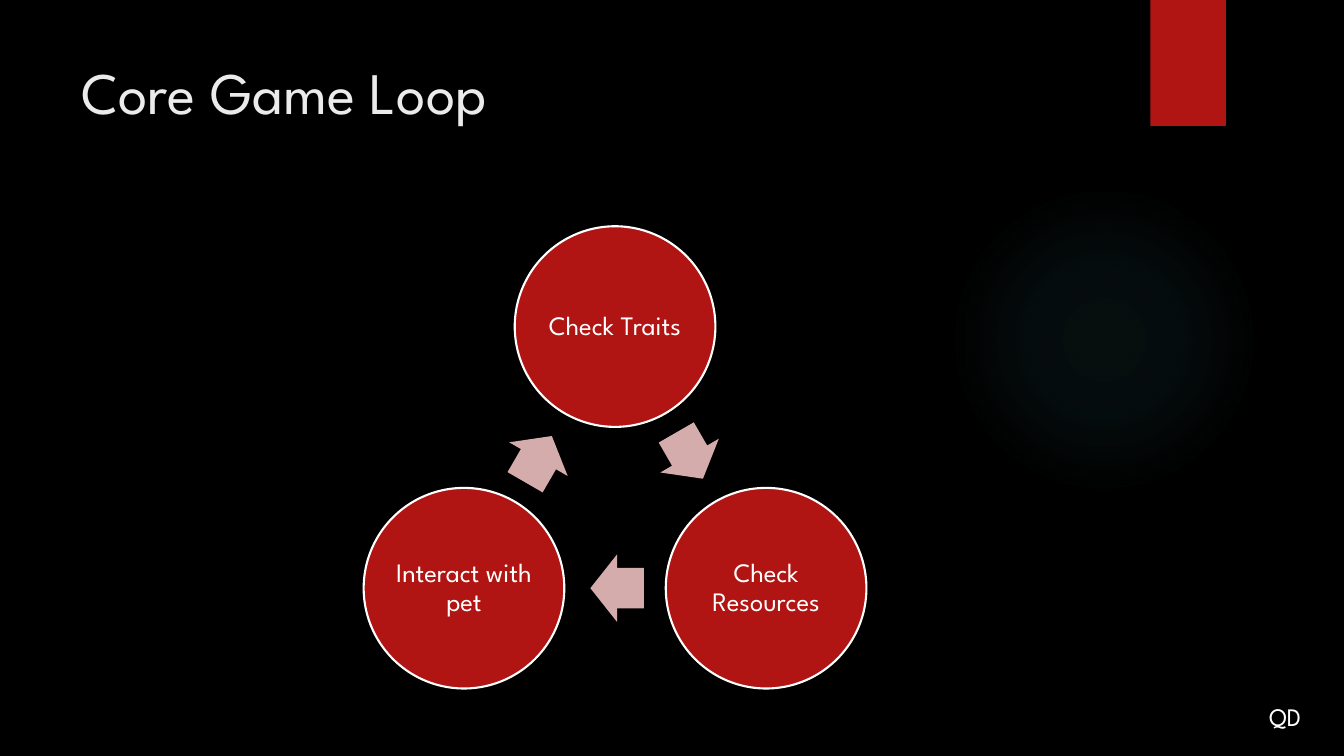
from dataclasses import dataclass
from math import cos, radians, sin

from pptx import Presentation
from pptx.dml.color import RGBColor
from pptx.enum.shapes import MSO_SHAPE
from pptx.enum.text import MSO_ANCHOR, PP_ALIGN
from pptx.oxml import parse_xml
from pptx.oxml.ns import nsdecls, qn
from pptx.util import Inches, Pt


@dataclass(frozen=True)
class Theme:
    font: str = "League Spartan"
    background: str = "000000"
    accent: str = "B01513"
    arrow: str = "D4ACAB"
    glow: str = "50B9C1"
    title: str = "EBEBEB"
    text: str = "FFFFFF"
    title_size: int = 42
    node_size: int = 19
    initials_size: int = 18


THEME = Theme()
STEPS = ["Check Traits", "Check Resources", "Interact with pet"]
GLOW_STOPS = [(0, 7), (36, 6), (69, 0)]  # position and opacity, in percent

LOOP_CENTER = (6.1, 4.97)
LOOP_RADIUS = 1.73
NODE_SIZE = 1.99
NODE_INSET = 0.03
ARROW_LENGTH, ARROW_BREADTH = 0.53, 0.67
ARROW_SETBACK = 0.02


def format_text(text_frame, text, size, color):
    text_frame.text = text
    text_frame.word_wrap = True
    font = text_frame.paragraphs[0].runs[0].font
    font.name = THEME.font
    font.size = Pt(size)
    font.color.rgb = RGBColor.from_string(color)


def add_text(slide, box, text, size, color):
    textbox = slide.shapes.add_textbox(*map(Inches, box))
    format_text(textbox.text_frame, text, size, color)


def add_filled_shape(slide, preset, box, color):
    shape = slide.shapes.add_shape(preset, *map(Inches, box))
    shape.shadow.inherit = False
    shape.fill.solid()
    shape.fill.fore_color.rgb = RGBColor.from_string(color)
    shape.line.fill.background()
    return shape


def add_glow(slide, box):
    """Add a circle whose faint colour fades out towards its edge."""
    glow = add_filled_shape(slide, MSO_SHAPE.OVAL, box, THEME.glow)
    stops = "".join(
        f'<a:gs pos="{position * 1000}"><a:srgbClr val="{THEME.glow}">'
        f'<a:alpha val="{opacity * 1000}"/></a:srgbClr></a:gs>'
        for position, opacity in GLOW_STOPS
    )
    gradient = parse_xml(
        f'<a:gradFill {nsdecls("a")}><a:gsLst>{stops}</a:gsLst><a:path path="circle">'
        '<a:fillToRect l="50000" t="50000" r="50000" b="50000"/></a:path></a:gradFill>'
    )
    properties = glow._element.spPr
    properties.replace(properties.find(qn("a:solidFill")), gradient)


def centered_box(center, width, height):
    return center[0] - width / 2, center[1] - height / 2, width, height


def add_node(slide, center, label):
    box = centered_box(center, NODE_SIZE, NODE_SIZE)
    node = add_filled_shape(slide, MSO_SHAPE.OVAL, box, THEME.accent)
    node.line.color.rgb = RGBColor.from_string(THEME.text)
    node.line.width = Pt(1.5)
    frame = node.text_frame
    format_text(frame, label, THEME.node_size, THEME.text)
    frame.vertical_anchor = MSO_ANCHOR.MIDDLE
    frame.margin_left = frame.margin_right = Inches(NODE_INSET)
    frame.margin_top = frame.margin_bottom = Inches(NODE_INSET)
    frame.paragraphs[0].alignment = PP_ALIGN.CENTER
    frame.paragraphs[0].line_spacing = 0.9


def add_arrow(slide, start, end, angle):
    """Add a block arrow just short of halfway between two nodes."""
    center = (
        (start[0] + end[0]) / 2 - ARROW_SETBACK * cos(radians(angle)),
        (start[1] + end[1]) / 2 - ARROW_SETBACK * sin(radians(angle)),
    )
    box = centered_box(center, ARROW_LENGTH, ARROW_BREADTH)
    arrow = add_filled_shape(slide, MSO_SHAPE.RIGHT_ARROW, box, THEME.arrow)
    arrow.adjustments[0] = 0.6
    arrow.adjustments[1] = 0.5
    arrow.rotation = angle


def add_loop(slide, labels):
    """Place the nodes clockwise from the top, each with an arrow to the next."""
    step = 360 / len(labels)
    angles = [radians(index * step - 90) for index in range(len(labels))]
    centers = [
        (LOOP_CENTER[0] + LOOP_RADIUS * cos(angle), LOOP_CENTER[1] + LOOP_RADIUS * sin(angle))
        for angle in angles
    ]
    for index, label in enumerate(labels):
        add_node(slide, centers[index], label)
        following = centers[(index + 1) % len(labels)]
        add_arrow(slide, centers[index], following, step * (index + 0.5))


def main():
    presentation = Presentation()
    presentation.slide_width = Inches(13.33)
    presentation.slide_height = Inches(7.5)
    slide = presentation.slides.add_slide(presentation.slide_layouts[6])
    slide.background.fill.solid()
    slide.background.fill.fore_color.rgb = RGBColor.from_string(THEME.background)

    add_glow(slide, (9.41, 1.83, 3.08, 3.08))
    add_filled_shape(slide, MSO_SHAPE.RECTANGLE, (11.41, 0, 0.75, 1.25), THEME.accent)
    add_text(slide, (0.71, 0.5, 10.29, 1.53), "Core Game Loop", THEME.title_size, THEME.title)
    add_loop(slide, STEPS)
    add_text(slide, (12.49, 6.91, 0.64, 0.4), "QD", THEME.initials_size, THEME.text)
    presentation.save("out.pptx")


if __name__ == "__main__":
    main()
